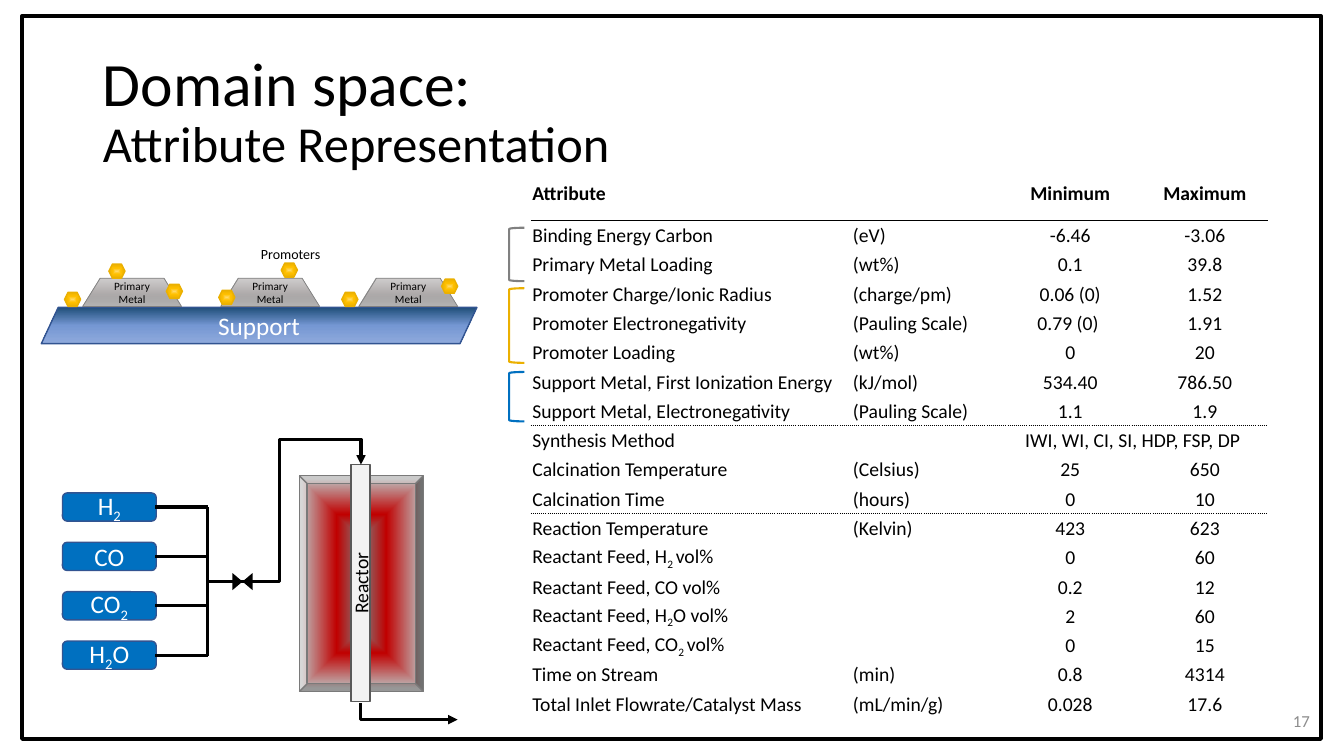
from dataclasses import dataclass
from typing import Any, NamedTuple, Optional, Union

from lxml.etree import SubElement
from pptx import Presentation
from pptx.dml.color import RGBColor
from pptx.enum.shapes import MSO_CONNECTOR, MSO_SHAPE
from pptx.enum.text import MSO_ANCHOR, PP_ALIGN
from pptx.oxml import parse_xml
from pptx.oxml.ns import nsdecls, qn
from pptx.util import Inches, Pt


@dataclass(frozen=True)
class Theme:
    font: str = "Calibri"
    black: str = "000000"
    white: str = "FFFFFF"
    muted: str = "8C8C8C"
    grey: str = "808080"
    gold: str = "EBB001"
    blue: str = "0070C0"
    blue_edge: str = "325491"
    bevel_edge: str = "7A7A7A"
    tube: str = "F2F2F2"
    tube_edge: str = "595959"
    title: int = 44
    subtitle: int = 36
    label: int = 18
    body: int = 14
    number: int = 12
    note: int = 10
    tiny: int = 8


class Gradient(NamedTuple):
    stops: tuple[tuple[int, str, int], ...]
    rect: bool = False


class Label(NamedTuple):
    text: str
    size: int
    color: str


class Border(NamedTuple):
    color: str
    dash: str = "solid"


class Row(NamedTuple):
    attribute: str
    unit: str
    low: str
    high: str


class Box(NamedTuple):
    kind: MSO_SHAPE
    at: tuple[float, float, float, float]
    fill: Optional[Union[str, Gradient]] = None
    edge: Optional[str] = None
    width: float = 1
    adj: Optional[float] = None
    label: Optional[Label] = None
    top_inset: float = 0.05
    rotation: float = 0
    vert: str = "horz"


class Line(NamedTuple):
    start: tuple[float, float]
    end: tuple[float, float]
    bend: str = "line"
    adj: tuple[float, ...] = ()
    arrow: str = ""


T = Theme()
SUPPORT = Gradient(((0, "1F4E79", 100), (50, "7597D3", 100), (100, "8FAADC", 100)))
METAL = Gradient(((0, "D0CECE", 100), (54, "AFABAB", 100), (100, "7C7C7C", 55)))
PROMOTER = Gradient(((0, "FFD966", 100), (40, "FFC000", 100), (100, T.gold, 100)), True)
FURNACE = Gradient(((0, T.grey, 100), (40, "C00000", 100), (97, "BDBDBD", 100)), True)

HEADER = Row("Attribute", "", "Minimum", "Maximum")
ROWS = [
    HEADER,
    Row("Binding Energy Carbon", "(eV)", "-6.46", "-3.06"),
    Row("Primary Metal Loading", "(wt%)", "0.1", "39.8"),
    Row("Promoter Charge/Ionic Radius", "(charge/pm)", "0.06 (0)", "1.52"),
    Row("Promoter Electronegativity", "(Pauling Scale)", "0.79 (0) ", "1.91"),
    Row("Promoter Loading", "(wt%)", "0", "20"),
    Row("Support Metal, First Ionization Energy", "(kJ/mol)", "534.40", "786.50"),
    Row("Support Metal, Electronegativity", "(Pauling Scale)", "1.1", "1.9"),
    Row("Synthesis Method", "", "IWI, WI, CI, SI, HDP, FSP, DP", ""),
    Row("Calcination Temperature", "(Celsius)", "25", "650"),
    Row("Calcination Time", "(hours)", "0", "10"),
    Row("Reaction Temperature", "(Kelvin)", "423", "623"),
    Row("Reactant Feed, H_2 _vol%", "", "0", "60"),
    Row("Reactant Feed, CO vol%", "", "0.2", "12"),
    Row("Reactant Feed, H_2_O vol%", "", "2", "60"),
    Row("Reactant Feed, CO_2 _vol%", "", "0", "15"),
    Row("Time on Stream", "(min)", "0.8", "4314"),
    Row("Total Inlet Flowrate/Catalyst Mass", "(mL/min/g)", "0.028", "17.6"),
]
SYNTHESIS_ROW = 8
RULES = {0: Border(T.black), 7: Border(T.black, "sysDot"), 10: Border(T.black, "sysDot")}
COLUMNS = (3.18, 1.45, 1.43, 1.24)
HEADER_HEIGHT, TABLE_HEIGHT = 0.54, 5.48

PROMOTERS = [(2.79, 2.61), (2.17, 2.88), (3.39, 2.9), (1.65, 2.82),
             (1.08, 2.62), (0.64, 2.9), (4.38, 2.77)]
BRACKETS = [(2.26, 0.53, T.grey), (2.86, 0.74, T.gold), (3.69, 0.49, T.blue)]
FEEDS = ["H_2", "CO", "CO_2", "H_2_O"]
FEED_TOP, FEED_STEP, FEED_HEIGHT = 4.89, 0.49, 0.28


def apply(obj: Any, values: dict[str, Any]) -> None:
    for name, value in values.items():
        setattr(obj, name, value)


def add_runs(p: Any, label: Label, bold: bool = False) -> None:
    for i, part in enumerate(label.text.split("_")):
        if part:
            r = p.add_run()
            r.text = part
            apply(r.font, {"name": T.font, "size": Pt(label.size), "bold": bold})
            r.font.color.rgb = RGBColor.from_string(label.color)
            if i % 2:
                r.font._element.set("baseline", "-25000")


def fill_gradient(sp: Any, gradient: Gradient) -> None:
    stops = "".join(
        f'<a:gs pos="{pos * 1000}"><a:srgbClr val="{color}">'
        f'<a:alpha val="{alpha * 1000}"/></a:srgbClr></a:gs>'
        for pos, color, alpha in gradient.stops)
    spread = ('<a:path path="rect"><a:fillToRect l="50000" t="50000" r="50000" b="50000"/></a:path>'
              if gradient.rect else '<a:lin ang="5400000" scaled="0"/>')
    xml = f'<a:gradFill {nsdecls("a")} rotWithShape="1"><a:gsLst>{stops}</a:gsLst>{spread}</a:gradFill>'
    sp._element.spPr.find(qn("a:prstGeom")).addnext(parse_xml(xml))


def add_box(slide: Any, box: Box) -> None:
    sp = slide.shapes.add_shape(box.kind, *map(Inches, box.at))
    sp.shadow.inherit = False
    sp.rotation = box.rotation
    if box.adj is not None:
        sp.adjustments[0] = box.adj
    if isinstance(box.fill, Gradient):
        fill_gradient(sp, box.fill)
    elif box.fill:
        sp.fill.solid()
        sp.fill.fore_color.rgb = RGBColor.from_string(box.fill)
    else:
        sp.fill.background()
    if box.edge:
        sp.line.color.rgb = RGBColor.from_string(box.edge)
        sp.line.width = Pt(box.width)
    else:
        sp.line.fill.background()
    if box.label:
        tf = sp.text_frame
        apply(tf, {"word_wrap": True, "vertical_anchor": MSO_ANCHOR.MIDDLE,
                   "margin_top": Inches(box.top_inset)})
        tf._txBody.bodyPr.set("vert", box.vert)
        tf.paragraphs[0].alignment = PP_ALIGN.CENTER
        add_runs(tf.paragraphs[0], box.label)


def add_line(slide: Any, line: Line) -> None:
    cx = slide.shapes.add_connector(MSO_CONNECTOR.STRAIGHT, *map(Inches, line.start + line.end))
    cx.line.color.rgb = RGBColor.from_string(T.black)
    cx.line.width = Pt(2.25)
    spPr = cx._element.spPr
    geom = spPr.find(qn("a:prstGeom"))
    geom.set("prst", line.bend)
    guides = geom.find(qn("a:avLst"))
    for i, value in enumerate(line.adj, 1):
        SubElement(guides, qn("a:gd"), name=f"adj{i}", fmla=f"val {round(value * 100000)}")
    if line.arrow:
        SubElement(spPr.find(qn("a:ln")), qn(f"a:{line.arrow}"), type="triangle")
    SubElement(spPr, qn("a:effectLst"))


def add_text(slide: Any, at: tuple[float, ...], label: Label, values: dict[str, Any],
             alignment: PP_ALIGN = PP_ALIGN.LEFT) -> None:
    tf = slide.shapes.add_textbox(*map(Inches, at)).text_frame
    apply(tf, values)
    tf.paragraphs[0].alignment = alignment
    add_runs(tf.paragraphs[0], label)


def add_title(slide: Any) -> None:
    sp = slide.shapes.title
    apply(sp, dict(zip(("left", "top", "width", "height"), map(Inches, (0.92, 0.4, 11.5, 1.45)))))
    sp.text_frame.vertical_anchor = MSO_ANCHOR.MIDDLE
    p = sp.text_frame.paragraphs[0]
    apply(p, {"alignment": PP_ALIGN.LEFT, "line_spacing": 0.9})
    add_runs(p, Label("Domain space: ", T.title, T.black))
    p.add_line_break()
    add_runs(p, Label("Attribute Representation", T.subtitle, T.black))


def format_cell(cell: Any, text: str, row: int, col: int) -> None:
    apply(cell, {"margin_left": Inches(0.01), "margin_right": Inches(0.01),
                 "margin_top": Inches(0.01), "margin_bottom": 0,
                 "vertical_anchor": MSO_ANCHOR.MIDDLE})
    plain = Border(T.white)
    sides = {"lnL": plain, "lnR": plain, "lnT": RULES.get(row - 1, plain), "lnB": RULES.get(row, plain)}
    for side, border in sides.items():
        ln = SubElement(cell._tc.get_or_add_tcPr(), qn(f"a:{side}"), w=str(Pt(1)))
        SubElement(SubElement(ln, qn("a:solidFill")), qn("a:srgbClr"), val=border.color)
        SubElement(ln, qn("a:prstDash"), val=border.dash)
    cell.fill.background()
    p = cell.text_frame.paragraphs[0]
    p.alignment = PP_ALIGN.CENTER if col > 1 else PP_ALIGN.LEFT
    if text:
        add_runs(p, Label(text, T.body, T.black), bold=row == 0)
    else:
        SubElement(p._p, qn("a:endParaRPr"), sz=str(T.body * 100))


def add_attributes(slide: Any) -> None:
    frame = slide.shapes.add_table(len(ROWS), len(COLUMNS), Inches(5.27), Inches(1.65),
                                   Inches(sum(COLUMNS)), Inches(TABLE_HEIGHT))
    table = frame.table
    apply(table, {"first_row": False, "horz_banding": False})
    for column, width in zip(table.columns, COLUMNS):
        column.width = Inches(width)
    for i, row in enumerate(ROWS):
        body_height = (TABLE_HEIGHT - HEADER_HEIGHT) / (len(ROWS) - 1)
        table.rows[i].height = Inches(body_height if i else HEADER_HEIGHT)
        for j, text in enumerate(row):
            format_cell(table.cell(i, j), text, i, j)
    table.cell(SYNTHESIS_ROW, 2).merge(table.cell(SYNTHESIS_ROW, 3))


def add_catalyst(slide: Any) -> None:
    add_box(slide, Box(MSO_SHAPE.PARALLELOGRAM, (0.41, 3.05, 4.32, 0.36), SUPPORT, T.blue_edge,
                       adj=0.466, label=Label("Support", T.label, T.white)))
    for i in range(3):
        add_box(slide, Box(MSO_SHAPE.TRAPEZOID, (0.82 + 1.37 * i, 2.76, 0.98, 0.28), METAL, T.grey, 0.5,
                           0.622, Label("Primary Metal", T.tiny, T.black), 0.02))
    for x, y in PROMOTERS:
        add_box(slide, Box(MSO_SHAPE.HEXAGON, (x, y, 0.16, 0.14), PROMOTER, T.gold))
    add_text(slide, (2.49, 2.39, 0.81, 0.27), Label("Promoters", T.note, T.black), {"word_wrap": False})
    for y, height, color in BRACKETS:
        add_box(slide, Box(MSO_SHAPE.LEFT_BRACKET, (5.05, y, 0.15, height), edge=color, width=1.5))


def add_reactor(slide: Any) -> None:
    add_box(slide, Box(MSO_SHAPE.BEVEL, (2.97, 4.72, 1.23, 2.14), FURNACE, T.bevel_edge, adj=0.062))
    add_box(slide, Box(MSO_SHAPE.RECTANGLE, (3.48, 4.61, 0.19, 2.35), T.tube, T.tube_edge,
                       label=Label("Reactor", T.body, T.black), vert="vert270"))
    for i, feed in enumerate(FEEDS):
        y = FEED_TOP + FEED_STEP * i
        add_box(slide, Box(MSO_SHAPE.ROUNDED_RECTANGLE, (0.62, y, 0.93, FEED_HEIGHT), T.blue, T.blue_edge,
                           label=Label(feed, T.label, T.white)))
        add_line(slide, Line((1.54, y + FEED_HEIGHT / 2), (2.06, y + FEED_HEIGHT / 2)))
    add_line(slide, Line((2.06, 5.03), (2.06, 6.51)))
    add_line(slide, Line((2.06, 5.77), (3.58, 4.61), "bentConnector4", (0.469, 1.216), "tailEnd"))
    add_line(slide, Line((4.54, 7.14), (3.58, 6.97), "bentConnector2", arrow="headEnd"))
    add_box(slide, Box(MSO_SHAPE.FLOWCHART_COLLATE, (2.32, 5.67, 0.17, 0.2), T.black, rotation=90))


def main() -> None:
    prs = Presentation()
    apply(prs, {"slide_width": Inches(13.33), "slide_height": Inches(7.5)})
    slide = prs.slides.add_slide(prs.slide_layouts[5])
    add_title(slide)
    add_attributes(slide)
    add_text(slide, (10.09, 6.95, 3, 0.4), Label("17", T.number, T.muted),
             {"word_wrap": True, "vertical_anchor": MSO_ANCHOR.MIDDLE}, PP_ALIGN.RIGHT)
    add_catalyst(slide)
    add_reactor(slide)
    add_box(slide, Box(MSO_SHAPE.RECTANGLE, (0.22, 0.16, 12.88, 7.17), edge=T.black, width=3))
    prs.save("out.pptx")


if __name__ == "__main__":
    main()
